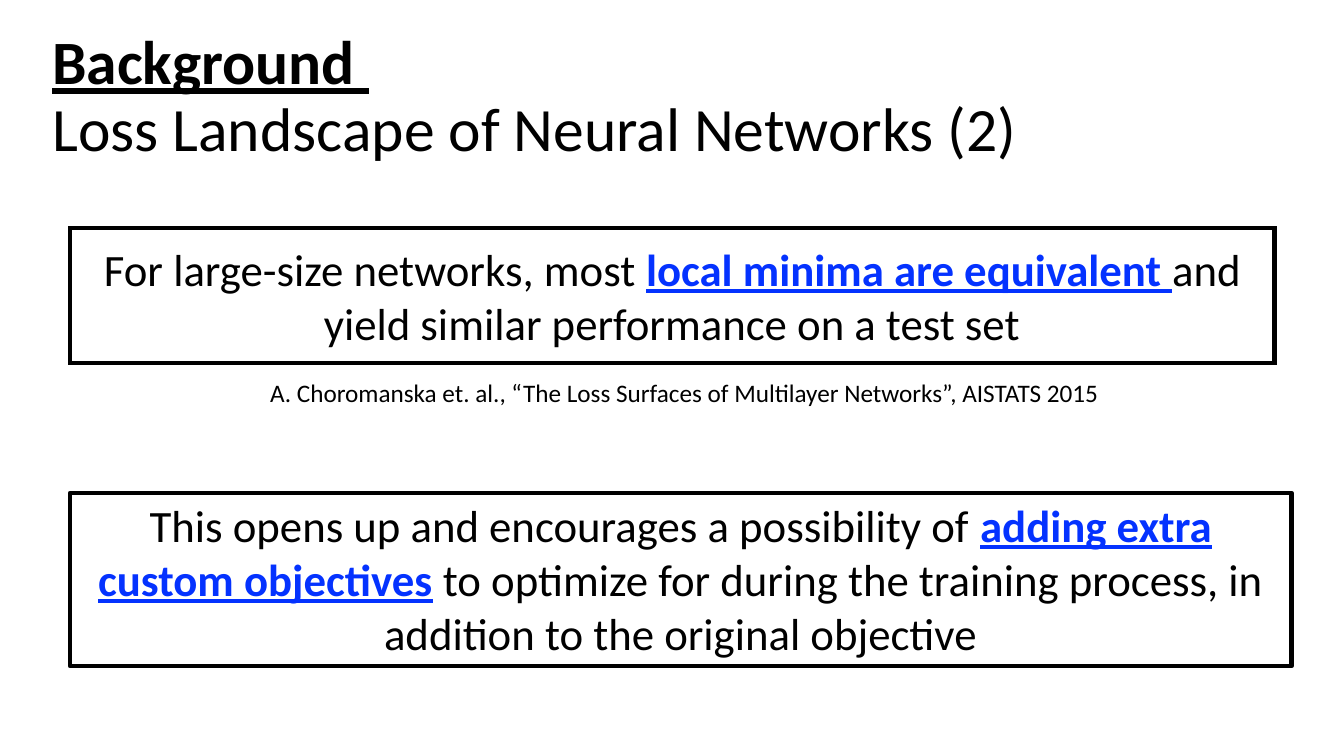
"""Build the slide on the loss landscape of neural networks."""
import pptx
import pptx.dml.color
import pptx.enum.shapes
import pptx.enum.text
import pptx.oxml
import pptx.oxml.ns
import pptx.util

Pt = pptx.util.Pt
ALIGN = pptx.enum.text.PP_ALIGN
ANCHOR = pptx.enum.text.MSO_ANCHOR
FIT = pptx.enum.text.MSO_AUTO_SIZE.SHAPE_TO_FIT_TEXT
COLORS = {"text": "000000", "accent": "0432FF", "paper": "FFFFFF"}


def rgb(name):
    return pptx.dml.color.RGBColor.from_string(COLORS[name])


def add_run(p, text, size=32, color="text", strong=False):
    r = p.add_run()
    r.text = text
    r.font.name = "Calibri"
    r.font.size = Pt(size)
    r.font.color.rgb = rgb(color)
    r.font.bold = r.font.underline = strong


class Deck:
    def __init__(self):
        self.prs = pptx.Presentation()
        self.prs.slide_width, self.prs.slide_height = Pt(960), Pt(540)
        self.slide = self.prs.slides.add_slide(self.prs.slide_layouts[6])

    def paragraph(self, sp, align, anchor, grow):
        tf = sp.text_frame
        tf.word_wrap = True
        tf.vertical_anchor = anchor
        if grow:
            tf.auto_size = FIT
        p = tf.paragraphs[0]
        p.alignment = align
        return p

    def text(self, x, y, w, h, align=ALIGN.LEFT, anchor=ANCHOR.TOP, grow=False):
        sp = self.slide.shapes.add_textbox(Pt(x), Pt(y), Pt(w), Pt(h))
        return self.paragraph(sp, align, anchor, grow)

    def statement(self, x, y, w, h, before, key, after,
                  anchor=ANCHOR.TOP, filled=False, join="round", grow=False):
        rect = pptx.enum.shapes.MSO_SHAPE.RECTANGLE
        sp = self.slide.shapes.add_shape(rect, Pt(x), Pt(y), Pt(w), Pt(h))
        sp.shadow.inherit = False
        if filled:
            sp.fill.solid()
            sp.fill.fore_color.rgb = rgb("paper")
        else:
            sp.fill.background()
        sp.line.color.rgb = rgb("text")
        sp.line.width = Pt(3)
        ln = sp.line._get_or_add_ln()
        ln.append(pptx.oxml.parse_xml(f"<a:{join} {pptx.oxml.ns.nsdecls('a')}/>"))
        p = self.paragraph(sp, ALIGN.CENTER, anchor, grow)
        add_run(p, before)
        add_run(p, key, color="accent", strong=True)
        add_run(p, after)


def main():
    deck = Deck()

    title = deck.text(30.2, 17.8, 828, 104.4, anchor=ANCHOR.MIDDLE)
    title.line_spacing = 0.9
    add_run(title, "Background ", size=44, strong=True)
    title.add_line_break()
    add_run(title, "Loss Landscape of Neural Networks (2)", size=44)

    deck.statement(50, 162.9, 860.4, 96.6,
                   "For large-size networks, most ",
                   "local minima are equivalent ",
                   "and yield similar performance on a test set",
                   anchor=ANCHOR.MIDDLE, filled=True, join="miter")

    citation = deck.text(140.4, 265.7, 697, 28.8, align=ALIGN.CENTER, grow=True)
    add_run(citation, "A. Choromanska et. al., “The Loss Surfaces of Multilayer "
                      "Networks”, AISTATS 2015", size=18)

    deck.statement(50, 352.1, 872.6, 123.8,
                   "This opens up and encourages a possibility of ",
                   "adding extra custom objectives",
                   " to optimize for during the training process, "
                   "in addition to the original objective",
                   grow=True)

    deck.prs.save("out.pptx")


if __name__ == "__main__":
    main()
